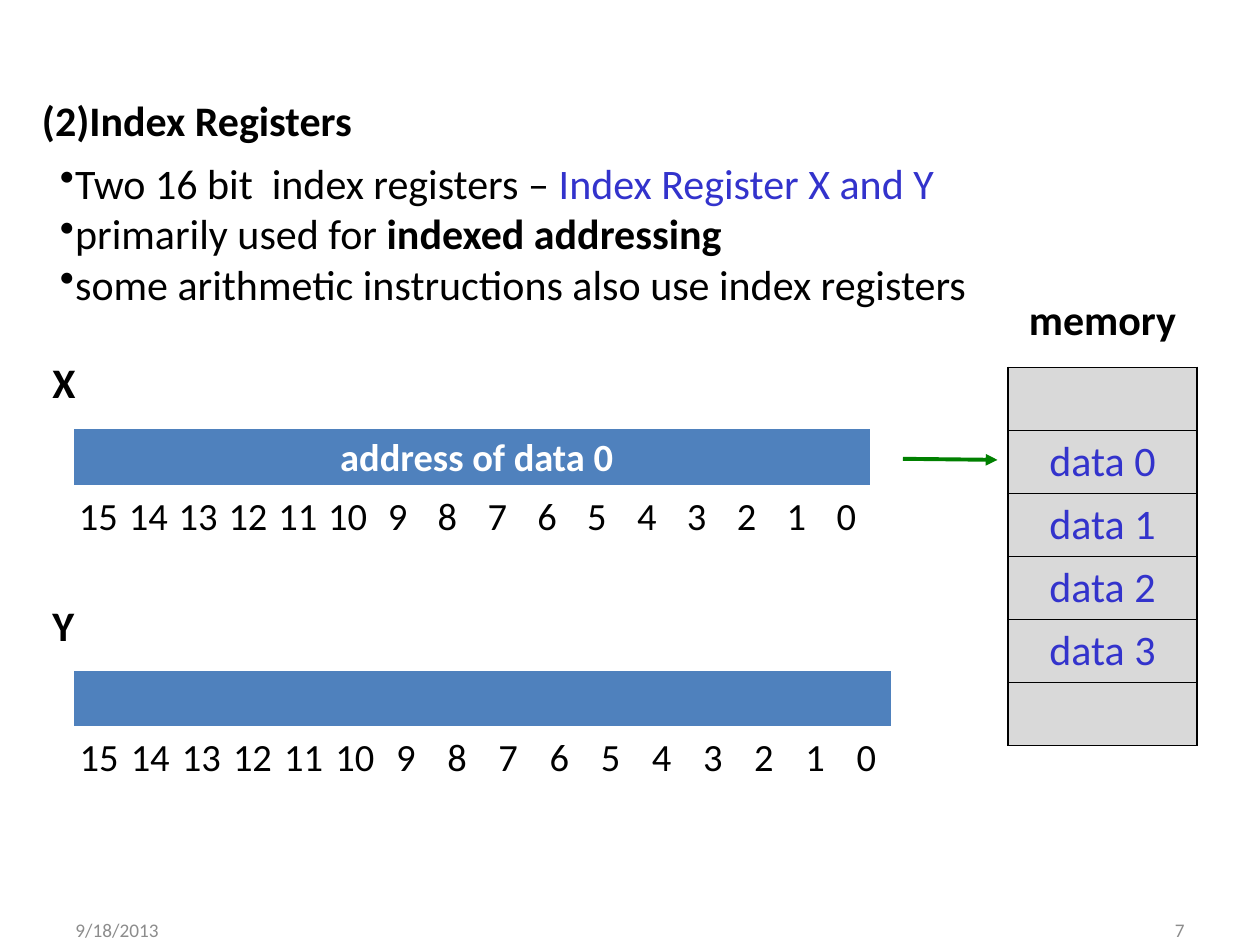
from lxml.etree import SubElement
from pptx import Presentation
from pptx.dml.color import RGBColor
from pptx.enum.shapes import MSO_CONNECTOR
from pptx.enum.text import MSO_ANCHOR, PP_ALIGN
from pptx.oxml.ns import qn
from pptx.util import Inches, Pt

INK = {
    "black": "000000", "white": "FFFFFF", "blue": "3333CC", "bar": "4F81BD",
    "cell": "D9D9D9", "gray": "8C8C8C", "green": "008000",
}
COLS, ROWS = 120, 90
UNIT = Inches(10) / COLS
HEAD = {"size": 24, "bold": True}
FOOT = {"size": 11, "color": "gray"}


def grid(*vals):
    """Turn grid counts into slide lengths."""
    return [round(val * UNIT) for val in vals]


def style(font, size=24, color="black", bold=False):
    """Set a font from its format values."""
    look = {"name": "Calibri", "size": Pt(size), "bold": bold}
    for key, val in look.items():
        setattr(font, key, val)
    font.color.rgb = RGBColor.from_string(INK[color])


def write(para, runs, align=PP_ALIGN.LEFT):
    """Fill a paragraph with pairs of text and format."""
    para.alignment = align
    for text, form in runs:
        run = para.add_run()
        run.text = text
        style(run.font, **form)


def bullet(para):
    """Give a paragraph a hanging bullet."""
    props = para._p.get_or_add_pPr()
    props.set("marL", str(Inches(0.18)))
    props.set("indent", str(Inches(-0.12)))
    SubElement(props, qn("a:buChar"), char="•")


def label(slide, box, lines, dots=False):
    """Add a tight text box that does not wrap."""
    frame = slide.shapes.add_textbox(*grid(*box)).text_frame
    for side in ("left", "top", "right", "bottom"):
        setattr(frame, f"margin_{side}", 0)
    frame.word_wrap = False
    for num, runs in enumerate(lines):
        para = frame.add_paragraph() if num else frame.paragraphs[0]
        if dots:
            bullet(para)
        write(para, runs)


def footer(slide, left, text, align):
    """Add a small gray line at the foot of the slide."""
    frame = slide.shapes.add_textbox(*grid(left, 87.5, 28, 2.1)).text_frame
    frame.word_wrap = True
    frame.vertical_anchor = MSO_ANCHOR.MIDDLE
    write(frame.paragraphs[0], [(text, FOOT)], align)


def edge(cell, color, base=1):
    """Draw the four borders of a cell."""
    props = cell._tc.get_or_add_tcPr()
    for side, size in (("L", 1), ("R", 1), ("T", 1), ("B", base)):
        line = SubElement(props, qn(f"a:ln{side}"), w=str(Pt(size)))
        fill = SubElement(line, qn("a:solidFill"))
        SubElement(fill, qn("a:srgbClr"), val=INK[color])


def paint(cell, color=None):
    """Fill a cell, or leave it clear."""
    if color:
        cell.fill.solid()
        cell.fill.fore_color.rgb = RGBColor.from_string(INK[color])
    else:
        cell.fill.background()


def table(slide, rows, cols, box):
    """Add a table without the banded look."""
    tab = slide.shapes.add_table(rows, cols, *grid(*box)).table
    for key in ("first_row", "horz_banding"):
        setattr(tab, key, False)
    return tab


def register(slide, top, width, text=None):
    """Add a register bar over its sixteen bit numbers."""
    bits = 16
    tab = table(slide, 2, bits, (7, top, width, 11.16))
    for col in range(bits):
        for row, color, base in ((0, "bar", 3), (1, None, 1)):
            cell = tab.cell(row, col)
            cell.margin_left = cell.margin_right = 0
            edge(cell, "white", base)
            paint(cell, color)
        num = [(str(bits - 1 - col), {"size": 22})]
        write(cell.text_frame.paragraphs[0], num, PP_ALIGN.CENTER)
    bar = tab.cell(0, 0)
    bar.merge(tab.cell(0, bits - 1))
    if text:
        form = {"size": 22, "color": "white", "bold": True}
        write(bar.text_frame.paragraphs[0], [(text, form)], PP_ALIGN.CENTER)


def memory(slide, items):
    """Add the column of memory cells."""
    tab = table(slide, len(items), 1, (96, 35, 18, 6 * len(items)))
    for row, text in enumerate(items):
        cell = tab.cell(row, 0)
        edge(cell, "black")
        paint(cell, "cell")
        if text:
            runs = [(text, {"color": "blue"})]
            write(cell.text_frame.paragraphs[0], runs, PP_ALIGN.CENTER)


def arrow(slide, ends):
    """Add a green arrow."""
    link = slide.shapes.add_connector(MSO_CONNECTOR.STRAIGHT, *grid(*ends))
    link.line.width = Pt(2.25)
    link.line.color.rgb = RGBColor.from_string(INK["green"])
    SubElement(link.line._get_or_add_ln(), qn("a:tailEnd"), type="triangle")
    SubElement(link._element.spPr, qn("a:effectLst"))


def main():
    """Build the slide and save it."""
    deck = Presentation()
    deck.slide_width, deck.slide_height = grid(COLS, ROWS)
    slide = deck.slides.add_slide(deck.slide_layouts[6])
    label(slide, (4, 9, 31, 4.8), [[("(2)Index Registers", HEAD)]])
    label(slide, (5, 15, 89.3, 14.5), [
        [("Two 16 bit  index registers –", {}),
         (" Index Register X and Y", {"color": "blue"})],
        [("primarily used for ", {}), ("indexed addressing", HEAD)],
        [("some arithmetic instructions also use index registers", {})],
    ], dots=True)
    footer(slide, 6, "9/18/2013", PP_ALIGN.LEFT)
    footer(slide, 86, "7", PP_ALIGN.RIGHT)
    register(slide, 40.8, 76, " address of data 0")
    register(slide, 63.8, 78)
    label(slide, (5, 34, 2.3, 4.8), [[("X", HEAD)]])
    label(slide, (5, 57.1, 2.2, 4.8), [[("Y", HEAD)]])
    memory(slide, [None, *(f"data {num}" for num in range(4)), None])
    arrow(slide, (86, 43.7, 95, 43.8))
    label(slide, (98, 28, 14.2, 4.8), [[("memory", HEAD)]])
    deck.save("out.pptx")


if __name__ == "__main__":
    main()
